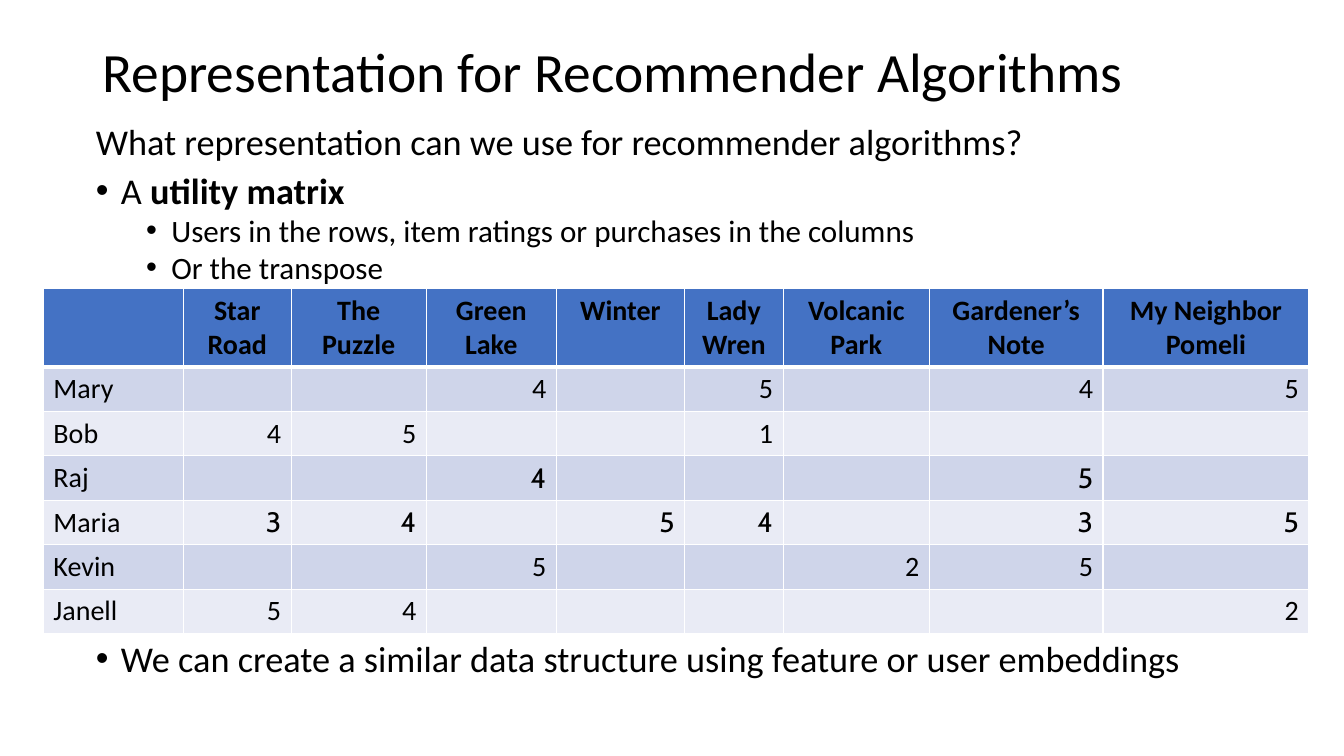
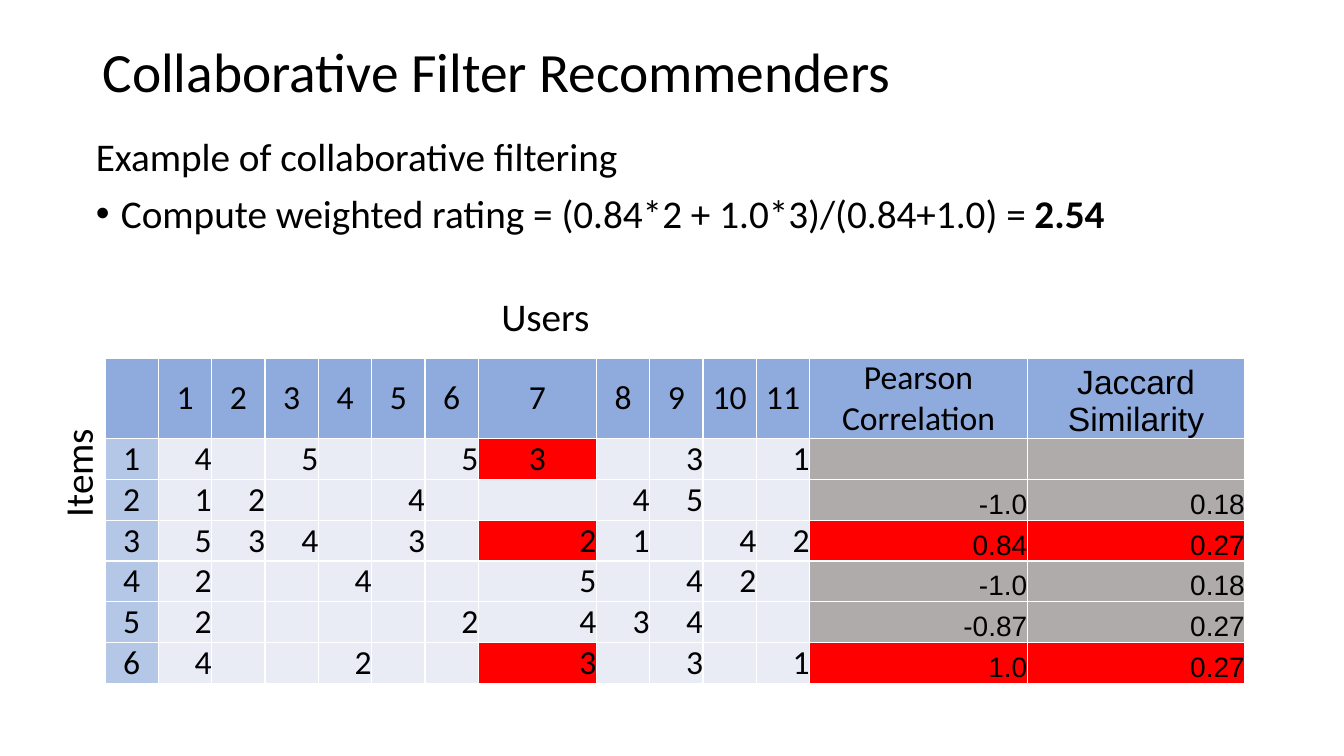
from dataclasses import dataclass

from lxml.etree import SubElement
from pptx import Presentation
from pptx.dml.color import RGBColor
from pptx.enum.text import MSO_ANCHOR as Anchor, MSO_AUTO_SIZE as AutoSize, PP_ALIGN as Align
from pptx.oxml.ns import qn
from pptx.util import Pt


@dataclass(frozen=True)
class Theme:
    font: str = "Calibri"
    rating_font: str = "Cabin"
    score_font: str = "Arial"
    ink: str = "000000"
    rule: str = "FFFFFF"
    header: str = "4472C4"
    band_dark: str = "CFD5EA"
    band_light: str = "E9EBF5"
    user_header: str = "8FAADC"
    item_header: str = "B4C7E7"
    score: str = "AFABAB"
    highlight: str = "FF0000"
    title_size: float = 39.6
    body_size: float = 28
    dense_size: float = 25.9
    dense_sub_size: float = 22.2
    cell_size: float = 20
    grid_size: float = 24


THEME = Theme()
TITLE_BOX = (66, 28.8, 828, 49)

MOVIES = ["", "Star Road", "The Puzzle", "Green Lake", "Winter", "Lady Wren",
          "Volcanic Park", "Gardener’s Note", "My Neighbor\nPomeli"]
MOVIE_RATINGS = ["Mary _ _ 4 _ 5 _ 4 5", "Bob 4 5 _ _ 1 _ _ _", "Raj _ _ 4 _ _ _ 5 _",
                 "Maria 3 4 _ 5 4 _ 3 5", "Kevin _ _ 5 _ _ 2 5 _", "Janell 5 4 _ _ _ _ _ 2"]
MOVIE_COLUMNS = [100, 77, 96.5, 93, 91.5, 70.5, 104.5, 124, 147]

USERS = ["", *map(str, range(1, 12)), "Pearson Correlation", "Jaccard Similarity"]
ITEM_RATINGS = ["1 4 _ 5 _ _ 5 3 _ 3 _ 1 _ _", "2 1 2 _ _ 4 _ _ 4 5 _ _ -1.0 0.18",
                "3 5 3 4 _ 3 _ 2 1 _ 4 2 0.84 0.27", "4 2 _ _ 4 _ _ 5 _ 4 2 _ -1.0 0.18",
                "5 2 _ _ _ _ 2 4 3 4 _ _ -0.87 0.27", "6 4 _ _ 2 _ _ 3 _ 3 _ 1 1.0 0.27"]
USER_COLUMNS = [38.1] * 7 + [84.3] + [38.1] * 4 + [155.4] * 2
TARGET_USER, FIRST_SCORE = 7, 12


def apply(target, **values):
    for name, value in values.items():
        setattr(target, name, value)


def place(shape, box):
    names = ("left", "top", "width", "height")
    apply(shape, **{name: Pt(length) for name, length in zip(names, box)})


def format_font(font, size, name=THEME.font, bold=False):
    apply(font, size=Pt(size), name=name, bold=bold)
    font.color.rgb = RGBColor.from_string(THEME.ink)


def set_bullet(paragraph, indent):
    properties = paragraph._p.get_or_add_pPr()
    hanging = 18 if indent else 0
    properties.set("marL", str(Pt(indent)))
    properties.set("indent", str(-Pt(hanging)))
    if indent:
        SubElement(properties, qn("a:buFont")).set("typeface", "Arial")
        SubElement(properties, qn("a:buChar")).set("char", "•")
    else:
        SubElement(properties, qn("a:buNone"))


def add_titled_slide(presentation, title):
    slide = presentation.slides.add_slide(presentation.slide_layouts[1])
    place(slide.shapes.title, TITLE_BOX)
    frame = slide.shapes.title.text_frame
    apply(frame, text=title, vertical_anchor=Anchor.MIDDLE, auto_size=AutoSize.NONE)
    paragraph = frame.paragraphs[0]
    apply(paragraph, alignment=Align.LEFT, line_spacing=0.9)
    format_font(paragraph.runs[0].font, THEME.title_size)
    return slide


def fill_body(slide, box, lines, line_spacing):
    body = slide.placeholders[1]
    place(body, box)
    frame = body.text_frame
    apply(frame, auto_size=AutoSize.NONE, vertical_anchor=Anchor.TOP)
    for number, (text, strong, level, indent, size, gap) in enumerate(lines):
        paragraph = frame.add_paragraph() if number else frame.paragraphs[0]
        apply(paragraph, level=level, line_spacing=line_spacing,
              space_before=Pt(gap), space_after=Pt(0))
        set_bullet(paragraph, indent)
        for words, bold in ((text, False), (strong, True)):
            if words:
                run = paragraph.add_run()
                run.text = words
                format_font(run.font, size, bold=bold)


def add_label(slide, box, text, rotation=0):
    label = slide.shapes.add_textbox(*map(Pt, box))
    label.rotation = rotation
    frame = label.text_frame
    apply(frame, text=text, word_wrap=True)
    frame.paragraphs[0].alignment = Align.CENTER
    format_font(frame.paragraphs[0].runs[0].font, THEME.body_size)


def set_borders(cell, widths):
    properties = cell._tc.get_or_add_tcPr()
    for side, width in zip(("L", "R", "T", "B"), widths):
        line = SubElement(properties, qn(f"a:ln{side}"), w=str(Pt(width)))
        fill = SubElement(line, qn("a:solidFill"))
        SubElement(fill, qn("a:srgbClr"), val=THEME.rule)


def format_cell(cell, text, fill, size, align=Align.RIGHT, anchor=Anchor.TOP,
                font=THEME.font, bold=False, margins=(7.2, 3.6)):
    side, edge = map(Pt, margins)
    apply(cell, text=text, vertical_anchor=anchor, margin_left=side, margin_right=side,
          margin_top=edge, margin_bottom=edge)
    cell.fill.solid()
    cell.fill.fore_color.rgb = RGBColor.from_string(fill)
    for paragraph in cell.text_frame.paragraphs:
        paragraph.alignment = align
        for run in paragraph.runs:
            format_font(run.font, size, font, bold)


def add_grid(slide, origin, columns, heights, header, records, style, header_rule=1):
    rows = [header] + [["" if word == "_" else word for word in record.split()]
                       for record in records]
    box = (*origin, sum(columns), sum(heights))
    table = slide.shapes.add_table(len(rows), len(columns), *map(Pt, box)).table
    apply(table, first_row=False, horz_banding=False)
    for column, width in zip(table.columns, columns):
        column.width = Pt(width)
    for row, height in zip(table.rows, heights):
        row.height = Pt(height)
    for row, texts in enumerate(rows):
        top, bottom = (header_rule if row == edge else 1 for edge in (1, 0))
        for column, text in enumerate(texts):
            cell = table.cell(row, column)
            set_borders(cell, (1, 1, top, bottom))
            format_cell(cell, text, **style(row, column))


def movie_style(row, column):
    style = {"size": THEME.cell_size}
    if row == 0:
        return style | {"fill": THEME.header, "align": Align.CENTER, "bold": True}
    style["fill"] = THEME.band_dark if row % 2 else THEME.band_light
    if column == 0:
        style["align"] = Align.LEFT
    elif row in (3, 4):
        style["font"] = THEME.rating_font
    return style


def item_style(row, column):
    style = {"size": THEME.grid_size, "margins": (0, 0), "anchor": Anchor.MIDDLE}
    is_score = column >= FIRST_SCORE
    if is_score:
        style["anchor"] = Anchor.BOTTOM
    if row == 0:
        font = THEME.score_font if column > FIRST_SCORE else THEME.font
        return style | {"fill": THEME.user_header, "align": Align.CENTER, "font": font}
    if column == 0:
        return style | {"fill": THEME.item_header, "align": Align.CENTER}
    style["fill"] = THEME.score if is_score else THEME.band_light
    if is_score:
        style |= {"size": THEME.cell_size, "font": THEME.score_font}
    if row in (3, 6) and (is_score or column == TARGET_USER):
        style["fill"] = THEME.highlight
    if (row, column) == (1, TARGET_USER):
        style |= {"fill": THEME.highlight, "align": Align.CENTER, "anchor": Anchor.TOP}
    return style


def build_representation(presentation):
    slide = add_titled_slide(presentation, "Representation for Recommender Algorithms")
    main, sub = THEME.dense_size, THEME.dense_sub_size
    fill_body(slide, (61.2, 87.8, 828, 436), [
        ("What representation can we use for recommender algorithms?", "", 0, 0, main, 10),
        ("A ", "utility matrix", 0, 18, main, 10),
        ("Users in the rows, item ratings or purchases in the columns", "", 1, 54, sub, 5),
        ("Or the transpose", "", 1, 54, sub, 5),
        ("We can create a similar data structure using feature or user embeddings",
         "", 0, 18, main, 257),
    ], 0.8)
    add_grid(slide, (31, 206), MOVIE_COLUMNS, [56] + [31.7] * 6, MOVIES,
             MOVIE_RATINGS, movie_style, header_rule=3)


def build_collaborative(presentation):
    slide = add_titled_slide(presentation, "Collaborative Filter Recommenders")
    size = THEME.body_size
    fill_body(slide, (61.2, 95, 828, 104.4), [
        ("Example of collaborative filtering", "", 0, 0, size, 10),
        ("Compute weighted rating = (0.84*2 + 1.0*3)/(0.84+1.0) = ", "2.54", 0, 18, size, 10),
    ], 0.9)
    add_label(slide, (15.8, 317.5, 79.2, 41), "Items", rotation=270)
    add_label(slide, (350, 205.2, 79.2, 41), "Users")
    add_grid(slide, (75, 255.8), USER_COLUMNS, [57.2] + [29.1] * 6, USERS,
             ITEM_RATINGS, item_style)


def main():
    presentation = Presentation()
    apply(presentation, slide_width=Pt(960), slide_height=Pt(540))
    build_representation(presentation)
    build_collaborative(presentation)
    presentation.save("out.pptx")


if __name__ == "__main__":
    main()
